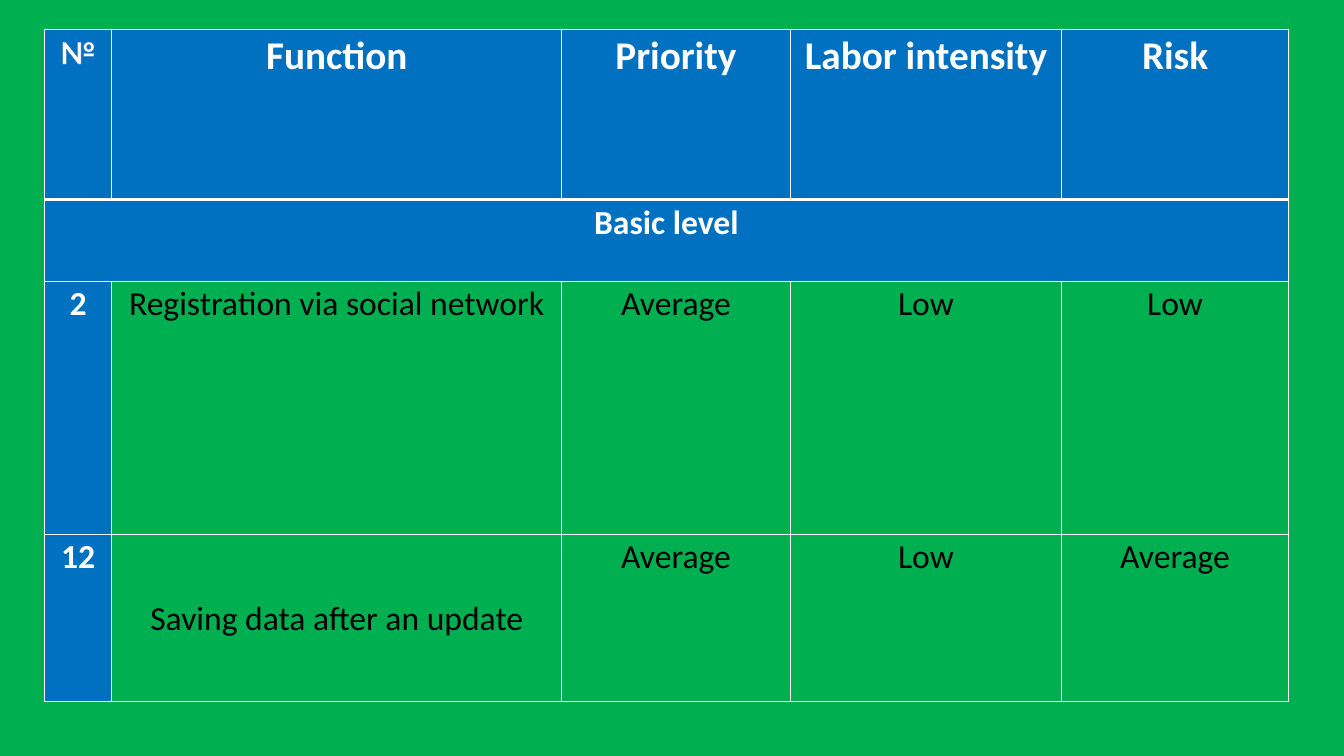
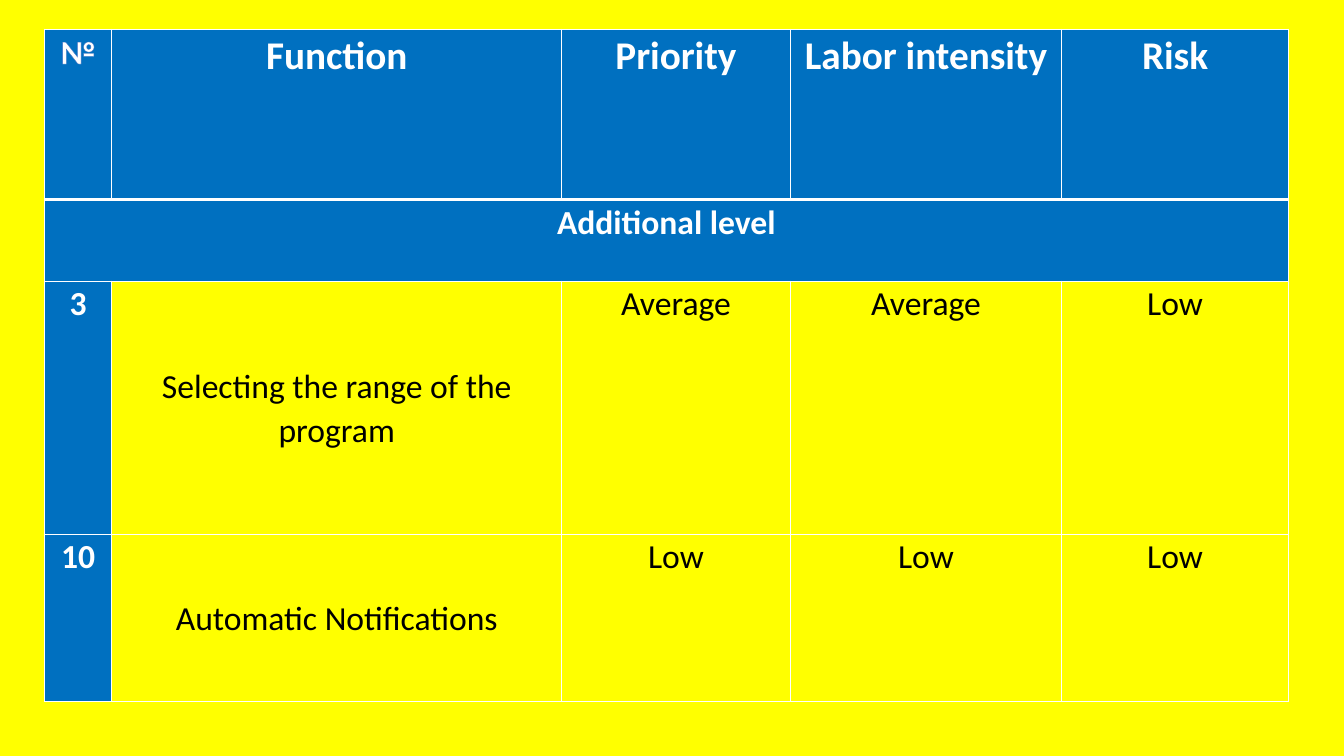
from lxml import etree
from pptx import Presentation
from pptx.dml.color import RGBColor
from pptx.enum.text import MSO_ANCHOR as Anchor, PP_ALIGN as Align
from pptx.oxml.ns import qn
from pptx.util import Inches, Pt

COLORS = {
    "green": "00B050",
    "yellow": "FFFF00",
    "blue": "0070C0",
    "outline": "4472C4",
    "white": "FFFFFF",
    "black": "000000",
}
FONT = "Calibri"
COLUMN_WIDTHS = [0.67, 4.46, 2.27, 2.69, 2.25]
ROW_HEIGHTS = [1.69, 0.81, 2.51, 1.66]
HEADERS = ["№", "Function", "Priority", "Labor intensity", "Risk"]

# Each slide: background, level name, rows, and the rows with a centred function
SLIDES = [
    ("green", "Basic level",
     [["2", "Registration via social network", "Average", "Low", "Low"],
      ["12", "Saving data after an update", "Average", "Low", "Average"]],
     {"12"}),
    ("yellow", "Additional level",
     [["3", "Selecting the range of the program", "Average", "Average", "Low"],
      ["10", "Automatic Notifications", "Low", "Low", "Low"]],
     {"3", "10"}),
]


def rgb(name):
    return RGBColor.from_string(COLORS[name])


def add_line(parent, tag, color, width):
    line = etree.SubElement(parent, qn(tag), w=str(Pt(width)))
    fill = etree.SubElement(line, qn("a:solidFill"))
    etree.SubElement(fill, qn("a:srgbClr"), val=COLORS[color])
    return line


def style_cell(cell, fill, top=1, bottom=1):
    """Set the borders, fill and margins of a cell."""
    properties = cell._tc.get_or_add_tcPr()
    for side, width in (("L", 1), ("R", 1), ("T", top), ("B", bottom)):
        add_line(properties, f"a:ln{side}", "white", width)
    cell.fill.solid()
    cell.fill.fore_color.rgb = rgb(fill)
    cell.margin_left = cell.margin_right = Inches(0.07)
    cell.margin_top = cell.margin_bottom = 0


def write_cell(cell, text, color="white", size=24, middle=False, outlined=False):
    """Write one centred run; white text is bold."""
    cell.vertical_anchor = Anchor.MIDDLE if middle else Anchor.TOP
    para = cell.text_frame.paragraphs[0]
    para.alignment = Align.CENTER
    para.line_spacing = 1.06 if middle else 1.07
    span = para.add_run()
    span.text = text
    font = span.font
    font.name, font.size, font.bold = FONT, Pt(size), color == "white"
    font.color.rgb = rgb(color)
    if outlined:
        properties = span._r.get_or_add_rPr()
        properties.insert(0, add_line(properties, "a:ln", "outline", 0.8))


def add_function_table(page, background, level, rows, centred):
    frame = page.shapes.add_table(
        len(ROW_HEIGHTS), len(COLUMN_WIDTHS), Inches(0.44), Inches(0.29),
        Inches(sum(COLUMN_WIDTHS)), Inches(sum(ROW_HEIGHTS)))
    table = frame.table
    for column, width in zip(table.columns, COLUMN_WIDTHS):
        column.width = Inches(width)
    for row, height in zip(table.rows, ROW_HEIGHTS):
        row.height = Inches(height)

    # Header and level rows, with a thick line between them
    for index, header in enumerate(HEADERS):
        cell = table.cell(0, index)
        style_cell(cell, "blue", bottom=3)
        write_cell(cell, header, size=28 if index else 24, outlined=index == 0)
        style_cell(table.cell(1, index), "blue", top=3)
    table.cell(1, 0).merge(table.cell(1, len(HEADERS) - 1))
    write_cell(table.cell(1, 0), level)

    # Function rows
    for row_index, values in enumerate(rows, start=2):
        for index, value in enumerate(values):
            cell = table.cell(row_index, index)
            style_cell(cell, background if index else "blue")
            write_cell(cell, value, "black" if index else "white",
                       middle=index == 1 and values[0] in centred)


def main():
    deck = Presentation()
    deck.slide_width, deck.slide_height = Inches(13.33), Inches(7.5)
    for background, level, rows, centred in SLIDES:
        page = deck.slides.add_slide(deck.slide_layouts[6])
        page.background.fill.solid()
        page.background.fill.fore_color.rgb = rgb(background)
        add_function_table(page, background, level, rows, centred)
    deck.save("out.pptx")


if __name__ == "__main__":
    main()
